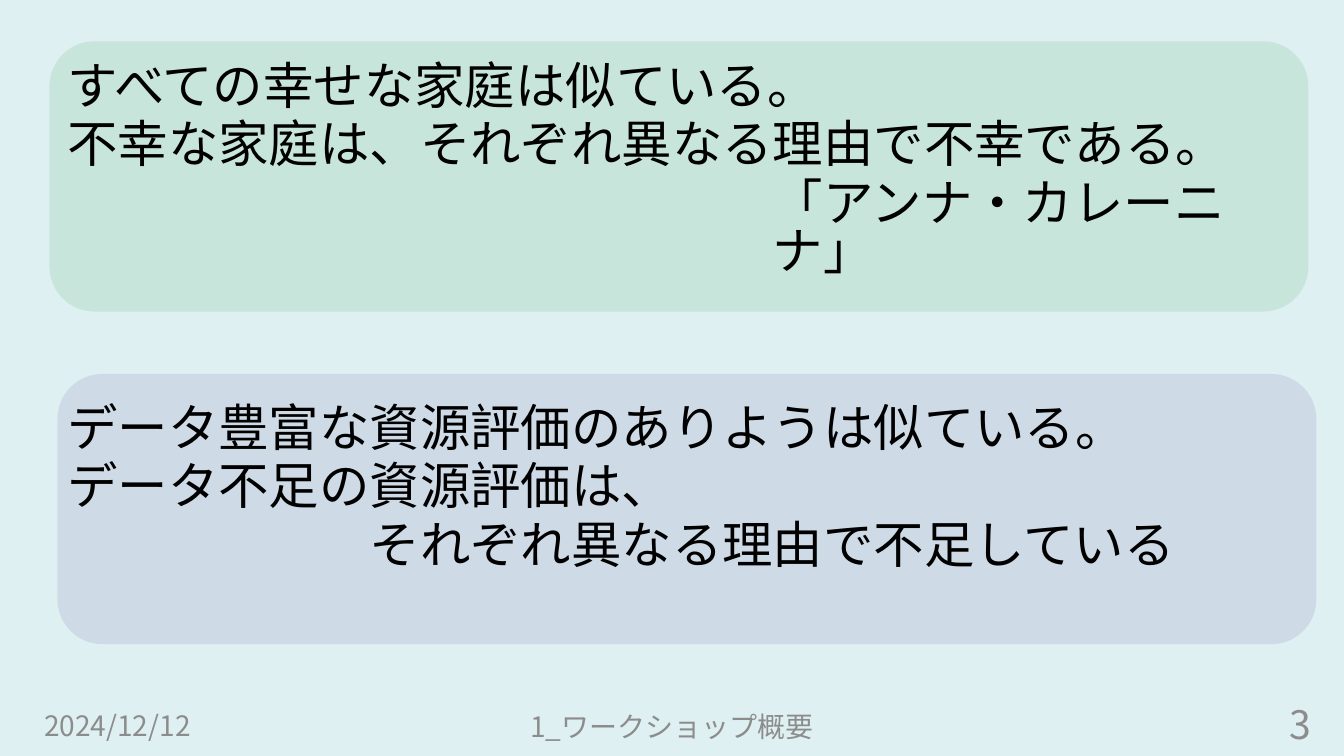
from pptx import Presentation
from pptx.dml.color import RGBColor
from pptx.enum import shapes, text
from pptx.oxml import ns
from pptx.util import Pt
from lxml import etree

FONT = "Noto Sans CJK JP"
INK, MUTED = "000000", "8C8C8C"
PANEL_SIZE = (899.3, 193)
TAB = 72


def colour(hex_string):
    return RGBColor.from_string(hex_string)


def style_runs(paragraph, size, ink):
    """Set size, colour and both the Latin and East Asian typeface."""
    for run in paragraph.runs:
        run.font.size = Pt(size)
        run.font.color.rgb = colour(ink)
        run.font.name = FONT
        east_asian = etree.SubElement(run.font._element, ns.qn("a:ea"))
        east_asian.set("typeface", FONT)


def add_text_frame(slide, box, anchor):
    frame = slide.shapes.add_textbox(*map(Pt, box)).text_frame
    frame.word_wrap = True
    frame.vertical_anchor = anchor
    return frame


def add_quote(slide, box, fill, inset, lines):
    """Draw a rounded panel; lines are (text, number of tab stops indented)."""
    left, top, width, height = box
    panel = slide.shapes.add_shape(shapes.MSO_SHAPE.ROUNDED_RECTANGLE, *map(Pt, box))
    panel.shadow.inherit = False
    panel.fill.solid()
    panel.fill.fore_color.rgb = colour(fill)
    panel.line.fill.background()

    inset_left, inset_top = inset
    quote_box = (left + inset_left, top + inset_top, width - inset_left, height - inset_top)
    frame = add_text_frame(slide, quote_box, text.MSO_ANCHOR.TOP)
    frame.text = "\n".join(line for line, _ in lines)
    for index, (paragraph, (_, tabs)) in enumerate(zip(frame.paragraphs, lines)):
        paragraph.line_spacing = 0.8
        paragraph.space_before = Pt(7.2 if index else 0)
        if tabs:
            paragraph._p.get_or_add_pPr().set("marL", str(Pt(tabs * TAB)))
        style_runs(paragraph, 36, INK)


def add_footer(slide, box, wording, size, alignment):
    frame = add_text_frame(slide, box, text.MSO_ANCHOR.MIDDLE)
    frame.text = wording
    paragraph = frame.paragraphs[0]
    paragraph.alignment = alignment
    style_runs(paragraph, size, MUTED)


def main():
    deck = Presentation()
    deck.slide_width, deck.slide_height = Pt(960), Pt(540)
    slide = deck.slides.add_slide(deck.slide_layouts[6])
    slide.background.fill.solid()
    slide.background.fill.fore_color.rgb = colour("DEF0F2")

    add_quote(slide, (35.3, 29.5, *PANEL_SIZE), "C8E5DC", (5.7, 13.7), [
        ("すべての幸せな家庭は似ている。", 0),
        ("不幸な家庭は、それぞれ異なる理由で不幸である。", 0),
        ("「アンナ・カレーニナ」", 7),
    ])
    add_quote(slide, (41, 267.1, *PANEL_SIZE), "CEDBE6", (0, 20.6), [
        ("データ豊富な資源評価のありようは似ている。", 0),
        ("データ不足の資源評価は、", 0),
        ("それぞれ異なる理由で不足している", 3),
    ])

    align = text.PP_ALIGN
    add_footer(slide, (24.5, 504, 216, 28.8), "2024/12/12", 20, align.LEFT)
    add_footer(slide, (318.2, 504.7, 324, 28.8), "1_ワークショップ概要", 20, align.CENTER)
    add_footer(slide, (678.2, 500.4, 265.7, 33.1), "3", 28, align.RIGHT)
    deck.save("out.pptx")


if __name__ == "__main__":
    main()
